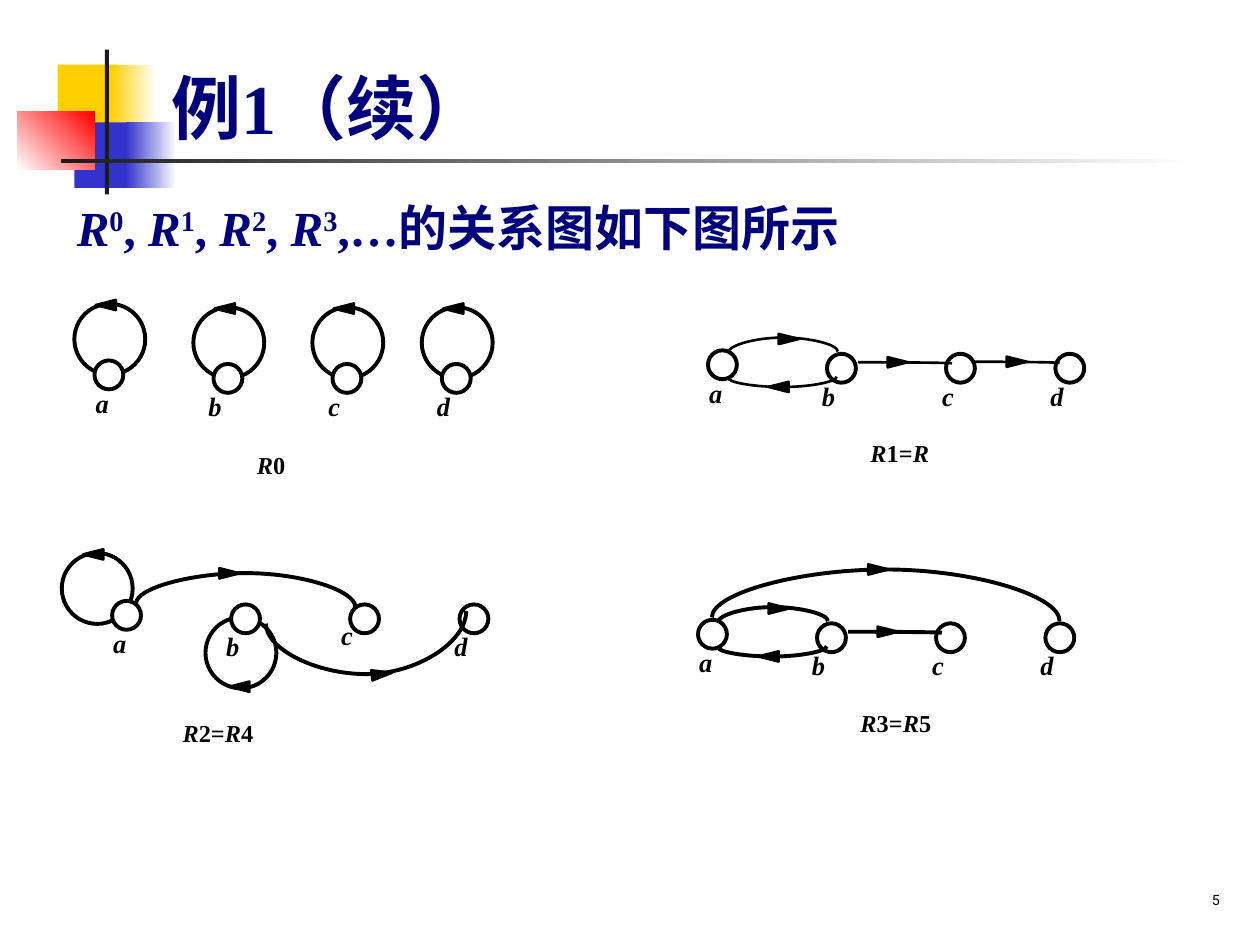
from lxml import etree
from pptx import Presentation
from pptx import util as u
from pptx.dml.color import RGBColor
from pptx.enum import shapes, text
from pptx.oxml.ns import qn

NAVY = RGBColor(0x00, 0x00, 0x7D)
BLACK = RGBColor(0x00, 0x00, 0x00)
WHITE = RGBColor(0xFF, 0xFF, 0xFF)
YELLOW = RGBColor(0xFF, 0xCF, 0x01)
BLUE = RGBColor(0x33, 0x33, 0xCC)
RED = RGBColor(0xFF, 0x00, 0x00)
CHARCOAL = RGBColor(0x1C, 0x1C, 0x1C)

SERIF = "Times New Roman"
NODE, LOOP = 16.5, 40.5
LEFT, RIGHT = 270, 90
# Vertex name, node offset from vertex a, label offset from its node
VERTICES = [("a", (0, 0), (-6.5, 5.4)), ("b", (68, 2), (-10, 5)),
            ("c", (136, 2), (-9.4, 5)), ("d", (198.5, 2), (-10, 5))]


class Sketch:
    """Draws on one slide; graph parts are placed relative to self.origin."""

    def __init__(self, slide):
        self.slide = slide
        self.start((0, 0))

    def start(self, origin, grouped=False):
        self.origin = origin
        shapes_here = self.slide.shapes
        self.shapes = shapes_here.add_group_shape().shapes if grouped else shapes_here

    def at(self, x, y):
        return u.Pt(self.origin[0] + x), u.Pt(self.origin[1] + y)

    def shape(self, kind, x, y, width, height, fill=None, line=None):
        shape = self.shapes.add_shape(kind, *self.at(x, y), u.Pt(width), u.Pt(height))
        shape.shadow.inherit = False
        if fill is None:
            shape.fill.background()
        else:
            shape.fill.solid()
            shape.fill.fore_color.rgb = fill
        if line is None:
            shape.line.fill.background()
        else:
            shape.line.color.rgb = BLACK
            shape.line.width = u.Pt(line)
        return shape

    def block(self, x, y, width, height, color, fade_to=None, angle=0):
        shape = self.shape(shapes.MSO_SHAPE.RECTANGLE, x, y, width, height, color)
        if fade_to is not None:
            shape.fill.gradient()
            shape.fill.gradient_angle = angle
            for stop, stop_color in zip(shape.fill.gradient_stops, (color, fade_to)):
                stop.color.rgb = stop_color

    def node(self, x, y):
        self.shape(shapes.MSO_SHAPE.OVAL, x, y, NODE, NODE, WHITE, 2.25)

    def loop(self, x, y):
        self.shape(shapes.MSO_SHAPE.OVAL, x, y, LOOP, LOOP, None, 2.25)

    def arrow(self, x, y, rotation):
        """Puts a triangle with its centre at x, y."""
        width, height = 5.8, 11.5
        shape = self.shape(shapes.MSO_SHAPE.ISOSCELES_TRIANGLE, x - width / 2,
                           y - height / 2, width, height, BLACK, 1.5)
        shape.rotation = rotation

    def connector(self, begin, end, weight):
        connector = self.shapes.add_connector(
            shapes.MSO_CONNECTOR.CURVE, *self.at(*begin), *self.at(*end))
        connector.line.color.rgb = BLACK
        connector.line.width = u.Pt(weight)
        properties = connector._element.spPr
        etree.SubElement(properties, qn("a:effectLst"))
        return connector, properties.find(qn("a:prstGeom"))

    def edge(self, begin, end, weight):
        _, geometry = self.connector(begin, end, weight)
        geometry.set("prst", "curvedConnector2")

    def arc(self, begin, end, level, weight):
        """Joins two points, left to right, by a curve whose crest is at level."""
        (x0, y0), (x1, y1) = begin, end
        x, y = (x0 + x1) / 2, (y0 + y1) / 2
        # The connector is turned a quarter, so its width and height swap.
        half_width, half_height = abs(y1 - y0) / 2, (x1 - x0) / 2
        connector, geometry = self.connector(
            (x - half_width, y - half_height), (x + half_width, y + half_height), weight)
        connector.rotation = 90 if y1 > y0 else 270
        if y1 > y0:
            connector._element.spPr.find(qn("a:xfrm")).set("flipV", "1")
        adjustments = geometry.find(qn("a:avLst"))
        if adjustments is None:
            adjustments = etree.SubElement(geometry, qn("a:avLst"))
        ratio = round((level - y0) / (y1 - y0) * 100000)
        etree.SubElement(adjustments, qn("a:gd"), name="adj1", fmla=f"val {ratio}")

    def runs(self, paragraph, pieces, size, color, font=SERIF, bold=True):
        """Adds (text, italic, raised) pieces to a paragraph."""
        for content, italic, raised in pieces:
            run = paragraph.add_run()
            run.text = content
            run.font.name, run.font.size = font, u.Pt(size)
            run.font.bold, run.font.italic = bold, italic
            run.font.color.rgb = color
            if raised:
                run.font._element.set("baseline", "30000")

    def text(self, x, y, width, height, pieces, size, **style):
        box = self.shapes.add_textbox(*self.at(x, y), u.Pt(width), u.Pt(height))
        frame = box.text_frame
        frame.word_wrap = False
        frame.auto_size = text.MSO_AUTO_SIZE.SHAPE_TO_FIT_TEXT
        paragraph = frame.paragraphs[0]
        paragraph.line_spacing = 1.1
        self.runs(paragraph, pieces, size, BLACK, **style)
        return frame

    def caption(self, x, y, width, content):
        pieces = [(letter, letter == "R", True) for letter in content]
        self.text(x, y, width, 39, pieces, 24)

    def vertices(self, moved_labels={}):
        for name, (x, y), offset in VERTICES:
            dx, dy = moved_labels.get(name, offset)
            self.node(x, y)
            self.text(x + dx, y + dy, 27, 42, [(name, True, True)], 26)

    def two_way_chain(self, weight):
        """Edges a to b, b to a and b to c."""
        self.arc((11.5, 1.4), (74.2, 0.7), -7.2, weight)
        self.arc((11.5, 15.8), (73.5, 15.1), 20.9, weight)
        self.edge((85.7, 6.8), (139.4, 7.4), weight)
        self.arrow(46.1, -6.5, RIGHT)
        self.arrow(40.3, 20.9, LEFT)
        self.arrow(108.4, 6.8, RIGHT)

    def placeholder(self, shape, x, y, width, height, pieces, size, anchor):
        shape.left, shape.top = u.Pt(x), u.Pt(y)
        shape.width, shape.height = u.Pt(width), u.Pt(height)
        shape.element.getparent().append(shape.element)
        frame = shape.text_frame
        frame.auto_size = text.MSO_AUTO_SIZE.NONE
        frame.vertical_anchor = anchor
        paragraph = frame.paragraphs[0]
        paragraph.alignment = text.PP_ALIGN.LEFT
        paragraph.space_before = u.Pt(0)
        properties = paragraph._p.get_or_add_pPr()
        properties.set("marL", "0")
        properties.set("indent", "0")
        etree.SubElement(properties, qn("a:buNone"))
        self.runs(paragraph, pieces, size, NAVY)
        return paragraph


def main():
    presentation = Presentation()
    presentation.slide_width, presentation.slide_height = u.Pt(720), u.Pt(540)
    slide = presentation.slides.add_slide(presentation.slide_layouts[1])
    sketch = Sketch(slide)

    sketch.block(33.1, 36.9, 34.6, 37.4, YELLOW)
    sketch.block(63.4, 36.9, 25.9, 37.4, YELLOW, WHITE)
    sketch.block(42.5, 70, 33.1, 37.4, BLUE)
    sketch.block(72, 70, 28.8, 37.4, BLUE, WHITE)
    sketch.block(10, 64, 44, 33.1, WHITE, RED, 45)
    sketch.block(60, 28.3, 2.2, 82.8, CHARCOAL)
    sketch.block(34.6, 90.7, 648, 2.2, CHARCOAL, WHITE)

    sketch.placeholder(slide.shapes.title, 90.7, 28.1, 613.4, 60.5,
                       [("例1（续）", False, False)], 40, text.MSO_ANCHOR.BOTTOM)
    powers = []
    for power, separator in zip("0123", [", "] * 3 + [",…的关系图如下图所示"]):
        powers += [("R", True, False), (power, False, True), (separator, False, False)]
    body = sketch.placeholder(slide.placeholders[1], 36.7, 105.8, 657.4, 51.8,
                              powers, 28, text.MSO_ANCHOR.TOP)
    body.line_spacing = 1.1

    number = sketch.text(554.4, 491.8, 149.8, 36, [("5", False, True)], 14,
                         font="Roboto", bold=False)
    number.auto_size = text.MSO_AUTO_SIZE.NONE
    number.word_wrap = True
    number.vertical_anchor = text.MSO_ANCHOR.BOTTOM
    number.paragraphs[0].alignment = text.PP_ALIGN.RIGHT
    number.paragraphs[0].line_spacing = 1.0

    sketch.start((54, 206))
    for _, (x, y), _ in VERTICES:
        sketch.loop(x - 11.5, y - 32.4)
        sketch.arrow(x + 6.5, y - 31.7, LEFT)
    sketch.vertices()
    sketch.caption(85.7, 41.8, 38, "R0")

    sketch.start((404.6, 200.2), grouped=True)
    sketch.vertices()
    sketch.two_way_chain(1.5)
    sketch.edge((151.9, 6.5), (200.9, 7.2), 1.5)
    sketch.arrow(176.4, 6.5, RIGHT)
    sketch.caption(85.7, 41, 68, "R1=R")

    sketch.start((64.1, 343.4), grouped=True)
    sketch.loop(53.3, 9.4)
    sketch.loop(-28.8, -27.4)
    sketch.vertices({"c": (-12.2, -1.4)})
    sketch.arc((13.7, 1.4), (139, 3.6), -15.8, 2.25)
    sketch.arc((87.8, 13), (202.3, 5.8), 41.8, 2.25)
    for x, y, rotation in [(72.7, 49, LEFT), (-10.8, -26.6, LEFT),
                           (67, -15.8, RIGHT), (154.1, 41.8, 82.6)]:
        sketch.arrow(x, y, rotation)
    sketch.caption(33.1, 57.6, 76, "R2=R4")

    sketch.start((398.9, 354.2), grouped=True)
    sketch.vertices()
    sketch.two_way_chain(2.25)
    sketch.arc((7.9, -1.4), (206.6, 0.7), -28.8, 2.25)
    sketch.arrow(103, -28.8, RIGHT)
    sketch.caption(85.7, 41, 76, "R3=R5")

    presentation.save("out.pptx")


if __name__ == "__main__":
    main()
